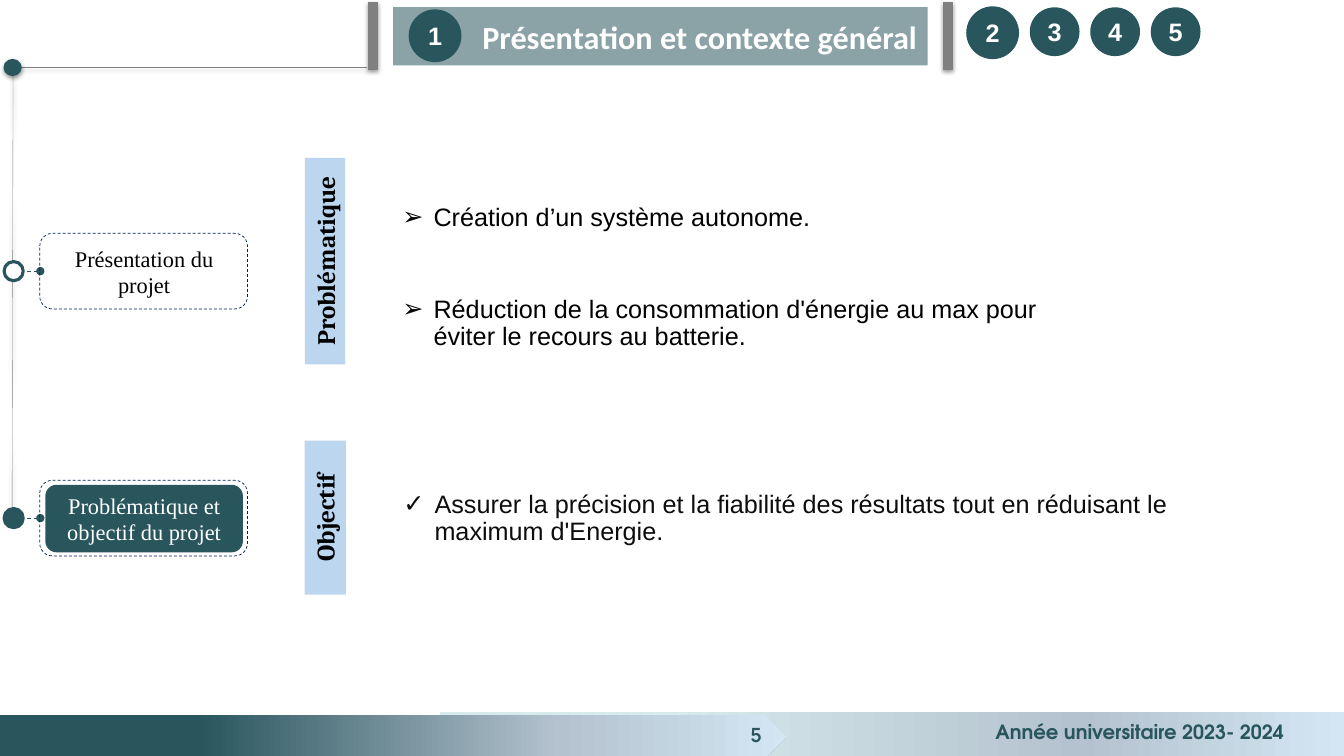
from dataclasses import dataclass
from typing import Any

from lxml.etree import SubElement
from pptx import Presentation
from pptx.dml.color import RGBColor
from pptx.enum.dml import MSO_LINE
from pptx.enum.shapes import MSO_CONNECTOR, MSO_SHAPE
from pptx.enum.text import MSO_ANCHOR, MSO_AUTO_SIZE, PP_ALIGN
from pptx.oxml.ns import qn
from pptx.util import Inches, Pt


@dataclass(frozen=True)
class Theme:
    teal: str = "29555D"
    grey: str = "808080"
    navy: str = "002060"
    sky: str = "BBD6EE"
    white: str = "FFFFFF"
    black: str = "000000"
    ink: str = "0D0D0D"
    steel: str = "B3C2CE"
    ice: str = "D4E6F4"
    mist: str = "D7EAED"
    title: float = 23
    text: float = 18
    step: float = 16
    footer: float = 14


def grid(n):
    """Length of n grid cells; the slide has 133.3 columns and 75 rows."""
    return Inches(n / 10)


def node(parent, tag, **attrs):
    return SubElement(parent, qn(tag), {k: str(v) for k, v in attrs.items()})


@dataclass
class SlideBuilder:
    theme: Theme
    s: Any

    def place(self, sp, col, row, cols, rows):
        box = dict(left=col, top=row, width=cols, height=rows)
        for name, value in box.items():
            setattr(sp, name, grid(value))
        return sp

    def paint(self, sp, fill=None, line=None, width=1, dash=None):
        if fill:
            sp.fill.solid()
            sp.fill.fore_color.rgb = RGBColor.from_string(fill)
        else:
            sp.fill.background()
        if line:
            self.stroke(sp, line, width, dash)
        else:
            sp.line.fill.background()

    def stroke(self, sp, color, width, dash=None):
        sp.line.color.rgb = RGBColor.from_string(color)
        sp.line.width = Pt(width)
        if dash:
            sp.line.dash_style = dash

    def cast_shadow(self, effects):
        shadow = node(effects, "a:outerShdw", blurRad=Pt(3.1), dist=Pt(1.6),
                      dir=90 * 60000, algn="t", rotWithShape=0)
        node(node(shadow, "a:srgbClr", val=self.theme.black), "a:alpha", val=38000)

    def shape(self, kind, *box, shadow=False, rotation=0, **paint):
        sp = self.place(self.s.shapes.add_shape(kind, 0, 0, 0, 0), *box)
        sp.rotation = rotation
        self.paint(sp, **paint)
        sp.shadow.inherit = False
        if shadow:
            self.cast_shadow(sp.element.spPr.find(qn("a:effectLst")))
        return sp

    def band(self, kind, *box, colors):
        """Footer shape with a left-to-right gradient."""
        sp = self.shape(kind, *box)
        sp.fill.gradient()
        sp.fill.gradient_angle = 0
        stops = sp.element.spPr.find(".//" + qn("a:gsLst"))
        for old in list(stops):
            stops.remove(old)
        for pos, color in zip((25, 71, 100), colors):
            node(node(stops, "a:gs", pos=pos * 1000), "a:srgbClr", val=color)

    def line(self, x1, y1, x2, y2, color, width, dash=None, shadow=False, ends=None):
        sp = self.s.shapes.add_connector(
            MSO_CONNECTOR.STRAIGHT, *(grid(n) for n in (x1, y1, x2, y2)))
        self.stroke(sp, color, width, dash)
        if ends:
            for tag in ("a:headEnd", "a:tailEnd"):
                node(sp.element.spPr.find(qn("a:ln")), tag, type=ends)
        effects = node(sp.element.spPr, "a:effectLst")
        if shadow:
            self.cast_shadow(effects)

    def frame(self, sp, anchor=MSO_ANCHOR.MIDDLE, inset=(1, 0.5)):
        x, y = (grid(n) for n in inset)
        tf = sp.text_frame
        style = dict(word_wrap=True, auto_size=MSO_AUTO_SIZE.NONE,
                     vertical_anchor=anchor, margin_left=x, margin_right=x,
                     margin_top=y, margin_bottom=y)
        for name, value in style.items():
            setattr(tf, name, value)
        return tf

    def run(self, p, text, font, size, color, bold=False):
        r = p.add_run()
        r.text = text
        for name, value in dict(name=font, size=Pt(size), bold=bold).items():
            setattr(r.font, name, value)
        r.font.color.rgb = RGBColor.from_string(color)

    def caption(self, sp, text, font, size, color, bold=False,
                align=PP_ALIGN.CENTER, **frame):
        p = self.frame(sp, **frame).paragraphs[0]
        p.alignment = align
        self.run(p, text, font, size, color, bold)

    def label(self, text, *box, font, **frame):
        sp = self.place(self.s.shapes.add_textbox(0, 0, 0, 0), *box)
        self.caption(sp, text, font, self.theme.footer, self.theme.teal, True, **frame)

    def title(self, text, *box):
        sp = self.place(self.s.shapes.title, *box)
        node(node(sp.element.spPr, "a:prstGeom", prst="roundRect"), "a:avLst")
        self.paint(sp, self.theme.teal)
        node(sp.element.spPr.find(".//" + qn("a:srgbClr")), "a:alpha", val=54000)
        self.caption(sp, text, "Calibri", self.theme.title, self.theme.white, True,
                     PP_ALIGN.RIGHT)

    def bullets(self, idx, items, *box, mark, color, gap=0):
        sp = self.place(self.s.placeholders[idx], *box)
        tf = self.frame(sp, MSO_ANCHOR.TOP)
        for i, text in enumerate(items):
            p = tf.add_paragraph() if i else tf.paragraphs[0]
            style = dict(line_spacing=0.9, space_before=Pt(gap if i else 0),
                         space_after=Pt(0), alignment=PP_ALIGN.LEFT)
            for name, value in style.items():
                setattr(p, name, value)
            pPr = p._p.get_or_add_pPr()
            pPr.set("marL", str(grid(3.1)))
            pPr.set("indent", str(grid(-3.1)))
            node(pPr, "a:buChar", char=mark)
            self.run(p, text, "Arial", self.theme.text, color)

    def badge(self, text, *box):
        t = self.theme
        sp = self.shape(MSO_SHAPE.OVAL, *box, fill=t.teal, line=t.teal)
        self.caption(sp, text, "Arial", t.text, t.white, True, inset=(0, 0))

    def step(self, text, y, active):
        """Timeline entry centred on row y."""
        t = self.theme
        self.line(1.6, y, 4, y, t.teal, 0.75, MSO_LINE.DASH, ends="oval")
        self.shape(MSO_SHAPE.OVAL, 0.4, y - 0.95, 1.9, 1.9, line=t.teal, width=2.25,
                   fill=t.teal if active else t.white)
        self.shape(MSO_SHAPE.ROUNDED_RECTANGLE, 3.95, y - 3.75, 20.6, 7.5,
                   line=t.navy, width=0.5, dash=MSO_LINE.DASH)
        sp = self.shape(MSO_SHAPE.ROUNDED_RECTANGLE, 4.5, y - 3.3, 19.6, 6.7,
                        fill=t.teal if active else None)
        self.caption(sp, text, "Times New Roman", t.step, t.white if active else t.black)

    def side_label(self, text, *box):
        t = self.theme
        sp = self.shape(MSO_SHAPE.RECTANGLE, *box, rotation=270, fill=t.sky)
        self.caption(sp, text, "Cambria", t.text, t.black, True, anchor=MSO_ANCHOR.TOP)


def main():
    prs = Presentation()
    prs.slide_width, prs.slide_height = Inches(13.33), Inches(7.5)
    t = Theme()
    b = SlideBuilder(t, prs.slides.add_slide(prs.slide_layouts[3]))

    b.band(MSO_SHAPE.RECTANGLE, 43.6, 70.6, 89.7, 4.4, colors=(t.mist, t.steel, t.ice))
    b.band(MSO_SHAPE.PENTAGON, -0.1, 70.9, 78.1, 4.4, colors=(t.teal, t.steel, t.ice))
    b.label("5", 65.4, 70.9, 19.2, 4, font="Manrope", inset=(1, 1))
    b.label("Année universitaire 2023- 2024", 95.3, 70.9, 35.5, 3.4,
            font="TeX Gyre Adventor", anchor=MSO_ANCHOR.TOP)

    b.title("Présentation et contexte général", 39, 0.7, 53, 5.8)
    for x in (37, 94):
        b.line(x, 6.9, x, 0.2, t.grey, 7.5, shadow=True)
    b.badge("1", 40.6, 1, 5.1, 5.1)
    b.badge("2", 95.9, 0.7, 5.1, 5.1)
    for i, number in enumerate("345"):
        b.badge(number, 102.2 + 6 * i, 0.8, 4.8, 4.7)

    b.line(1.3, 6.4, 1.2, 51.6, t.grey, 0.25, shadow=True)
    b.line(0.4, 6.7, 36.4, 6.7, t.grey, 0.25, shadow=True)
    b.shape(MSO_SHAPE.OVAL, 0.4, 5.9, 1.7, 1.6, fill=t.teal, line=t.teal,
            width=0.75, shadow=True)
    b.step("Présentation du projet", 26.9, active=False)
    b.step("Problématique et objectif du projet", 51.4, active=True)

    b.side_label("Problématique", 22, 23.9, 20.5, 4)
    b.bullets(1, ("Création d’un système autonome.",
                  "Réduction de la consommation d'énergie au max pour "
                  "éviter le recours au batterie."),
              38.9, 19.8, 68, 16, mark="➢", color=t.black, gap=46)
    b.side_label("Objectif", 24.6, 49.3, 15.3, 4.1)
    b.bullets(2, ("Assurer la précision et la fiabilité des résultats tout en "
                  "réduisant le maximum d'Energie.",),
              39, 48.3, 85.2, 6.5, mark="✓", color=t.ink)

    prs.save("out.pptx")


if __name__ == "__main__":
    main()
